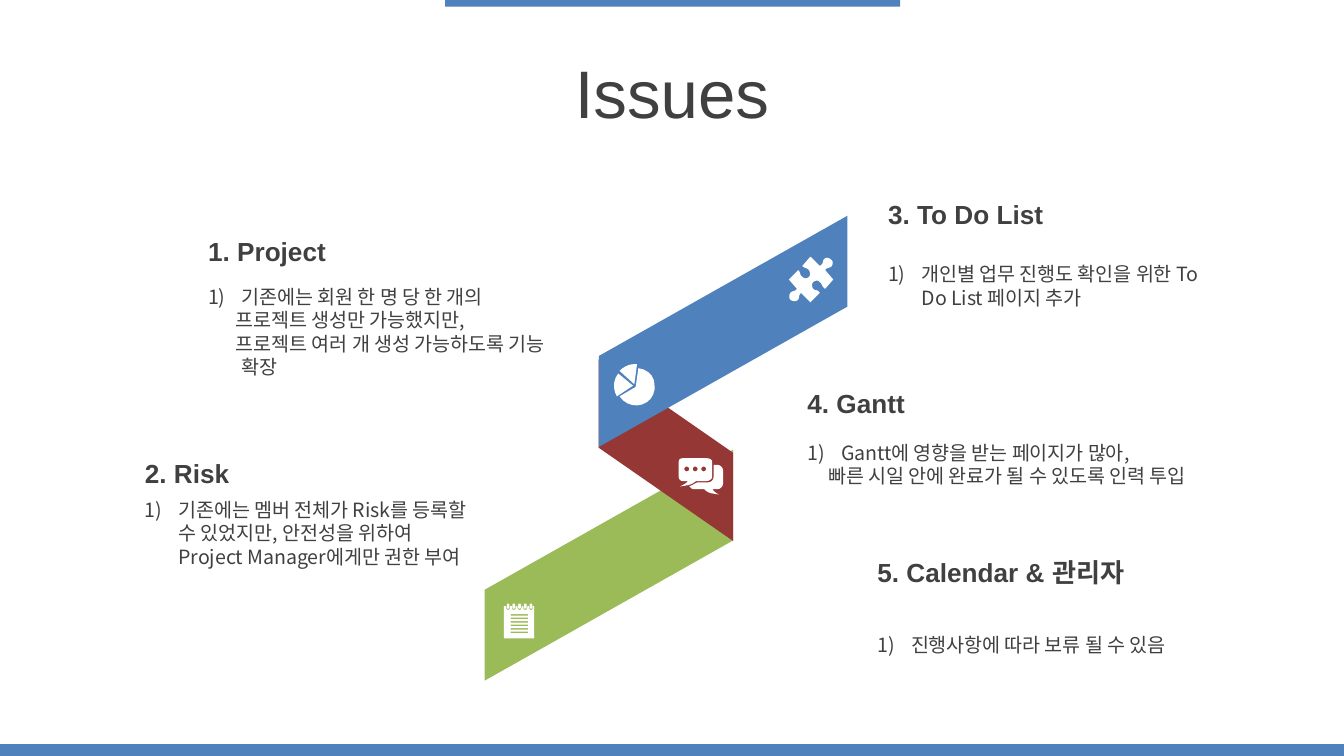
import math

import pptx
import pptx.dml.color
import pptx.enum.shapes
import pptx.enum.text
import pptx.oxml
import pptx.util

Pt = pptx.util.Pt
MIDDLE = pptx.enum.text.MSO_ANCHOR.MIDDLE
TOP = pptx.enum.text.MSO_ANCHOR.TOP
SHAPES = pptx.enum.shapes.MSO_SHAPE
GRID = 0.72  # points per unit of the icon outlines
BLUE, RED, GREEN, WHITE, GREY = "4F81BD", "953735", "9BBB59", "FFFFFF", "404040"


def paint(shape, color):
    shape.shadow.inherit = False
    shape.fill.solid()
    shape.fill.fore_color.rgb = pptx.dml.color.RGBColor.from_string(color)
    shape.line.fill.background()


def add_text(box, lines, size, font_name, anchor=MIDDLE, bold=None):
    """Place a text box and return its paragraphs, one for each line."""
    frame = slide.shapes.add_textbox(*(Pt(length) for length in box)).text_frame
    frame.word_wrap = True
    frame.vertical_anchor = anchor
    frame.text = "\n".join(lines)
    for paragraph in frame.paragraphs:
        paragraph.font.size = Pt(size)
        paragraph.font.name = font_name
        paragraph.font.bold = bold
        paragraph.font.color.rgb = pptx.dml.color.RGBColor.from_string(GREY)
    return frame.paragraphs


presentation = pptx.Presentation()
presentation.slide_width = Pt(720)
presentation.slide_height = Pt(405)
slide = presentation.slides.add_slide(presentation.slide_layouts[6])

# Bars and title
for left, top, width, height in [(238.5, 0, 243.75, 3.6), (0, 398.7, 720, 6.3)]:
    bar = slide.shapes.add_shape(SHAPES.RECTANGLE, Pt(left), Pt(top), Pt(width), Pt(height))
    paint(bar, BLUE)
title = add_text((0, 26.6, 720, 45.4), ["Issues"], 36, "Arial")[0]
title.alignment = pptx.enum.text.PP_ALIGN.CENTER

# Folded ribbon, from back to front
for left, top, width, height, slant, mirrored, color in [
    (264.24, 236.16, 123.84, 133.2, 0.607, True, GREEN),
    (308.16, 205.2, 97.2, 72, 0.694, False, RED),
    (325.44, 110.88, 123.84, 133.2, 0.607, True, BLUE),
]:
    band = slide.shapes.add_shape(SHAPES.PARALLELOGRAM, Pt(left), Pt(top), Pt(width), Pt(height))
    band.adjustments[0] = slant
    band.rotation = 270
    if mirrored:
        band.element.spPr.xfrm.set("flipH", "1")
    paint(band, color)

# Issues: left, width, heading top, heading, body top, body height, lines, offset of later lines
issues = [
    (468.72, 187.2, 102.2, "3. To Do List", 137, 32.4,
     ["개인별 업무 진행도 확인을 위한 To Do List 페이지 추가"], 0),
    (425.52, 249.1, 203.8, "4. Gantt", 232.6, 32.4,
     ["Gantt에 영향을 받는 페이지가 많아,", "빠른 시일 안에 완료가 될 수 있도록 인력 투입"], -6.75),
    (70.56, 193, 241.2, "2. Risk", 263.2, 57.6,
     ["기존에는 멤버 전체가 Risk를 등록할 수 있었지만, 안전성을 위하여 "
      "Project Manager에게만 권한 부여"], 0),
    (104.4, 201.6, 122.4, "1. Project", 149, 57.6,
     ["기존에는 회원 한 명 당 한 개의", "프로젝트 생성만 가능했지만,",
      "프로젝트 여러 개 생성 가능하도록 기능 확장"], -3.1),
    (462.96, 193, 294.5, "5. Calendar & 관리자", 335.4, 20,
     ["진행사항에 따라 보류 될 수 있음"], 0),
]
for left, width, heading_top, heading, body_top, body_height, lines, offset in issues:
    add_text((left, heading_top, width, 24.5), [heading], 14, "Arial", bold=True)
    paragraphs = add_text((left, body_top, width, body_height), lines, 10.5, "Noto Sans CJK KR", TOP)
    for index, paragraph in enumerate(paragraphs):
        properties = paragraph.font._element.getparent()
        properties.set("marL", str(Pt(18)))
        properties.set("indent", str(Pt(offset if index else -18)))
        if index == 0:
            number = pptx.oxml.parse_xml(
                '<a:buAutoNum xmlns:a="http://schemas.openxmlformats.org/drawingml/2006/main" '
                'type="arabicParenR"/>')
            properties.insert(0, number)

# Icon outlines: a pair is a corner, six numbers are a cubic curve
puzzle = [[
    (618, 193), (620, 194, 620, 196, 619, 198), (617, 200, 615, 199, 614, 201), (620, 208),
    (614, 215), (611, 213, 612, 211, 610, 210), (609, 208, 606, 209, 605, 210),
    (604, 211, 604, 213, 605, 215), (608, 217, 608, 215, 610, 218), (603, 225), (596, 218),
    (594, 220, 595, 221, 594, 223), (592, 225, 589, 224, 588, 223),
    (587, 222, 587, 220, 588, 218), (590, 216, 592, 217, 593, 215), (587, 208), (594, 201),
    (596, 203, 595, 205, 597, 206), (599, 208, 601, 207, 602, 206),
    (603, 205, 603, 203, 602, 201), (600, 199, 599, 200, 597, 198), (603, 191), (610, 198),
    (613, 196, 612, 195, 613, 193), (615, 191, 617, 192, 618, 193),
]]
pie = [
    [(460, 278), (471, 287), (459, 295), (456, 290, 456, 283, 460, 278)],
    [(475, 274), (482, 275, 487, 280, 487, 286), (488, 293, 484, 299, 478, 301),
     (472, 303, 465, 301, 461, 295), (473, 288)],
    [(472, 271), (472, 271, 473, 271, 474, 271), (472, 286), (461, 276),
     (464, 273, 468, 271, 472, 271)],
]
chat = [
    [(531, 346), (534, 346), (536, 346, 538, 348, 538, 350), (538, 360),
     (538, 362, 536, 364, 534, 364), (530, 364), (531, 365, 531, 366, 535, 368),
     (528, 367, 527, 367, 524, 364), (516, 364), (515, 364, 514, 363, 513, 362),
     (515, 361, 517, 360, 519, 359), (527, 359), (529, 359, 531, 357, 531, 355)],
    [(508, 341), (526, 341), (528, 341, 530, 342, 530, 344), (530, 355),
     (530, 356, 528, 358, 526, 358), (518, 358), (514, 361, 513, 361, 506, 362),
     (510, 360, 510, 360, 512, 358), (508, 358), (506, 358, 505, 356, 505, 355), (505, 344),
     (505, 342, 506, 341, 508, 341)],
]
for center in (511, 517.3, 523.6):
    angles = [math.tau * step / 16 for step in range(16)]
    chat.append([(center + 1.8 * math.cos(angle), 349 + 1.8 * math.sin(angle)) for angle in angles])

page, rings = [(375, 451)], []
for index in range(5):
    center = 378.1 + 4.25 * index
    page += [(center - 1.5, 451), (center - 1.5, 452), (center - 1.5, 454.5, center + 1.5, 454.5, center + 1.5, 452),
             (center + 1.5, 451)]
    rings.append([(center - 1, 450), (center - 1, 448.7, center + 1, 448.7, center + 1, 450),
                  (center + 1, 452), (center + 1, 453.3, center - 1, 453.3, center - 1, 452)])
page += [(397.5, 451), (397.5, 475), (375, 475)]
rules = [[(380, y), (393, y), (393, y + 1.1), (380, y + 1.1)]
         for y in (457 + 2.6 * row for row in range(6))]
notepad = [page] + rings + rules

for icon in (puzzle, notepad, pie, chat):
    builder = None
    for outline in icon:
        points = []
        for step in outline:
            if len(step) == 2:
                points.append(step)
                continue
            controls = [points[-1], step[:2], step[2:4], step[4:]]
            for t in (0.2, 0.4, 0.6, 0.8, 1):
                weights = [math.comb(3, k) * t ** k * (1 - t) ** (3 - k) for k in range(4)]
                points.append(tuple(sum(w * control[axis] for w, control in zip(weights, controls))
                                    for axis in (0, 1)))
        corners = [(Pt(x * GRID), Pt(y * GRID)) for x, y in points]
        if builder is None:
            builder = slide.shapes.build_freeform(*corners[0])
        else:
            builder.move_to(*corners[0])
        builder.add_line_segments(corners[1:], close=True)
    paint(builder.convert_to_shape(), WHITE)

presentation.save("out.pptx")
